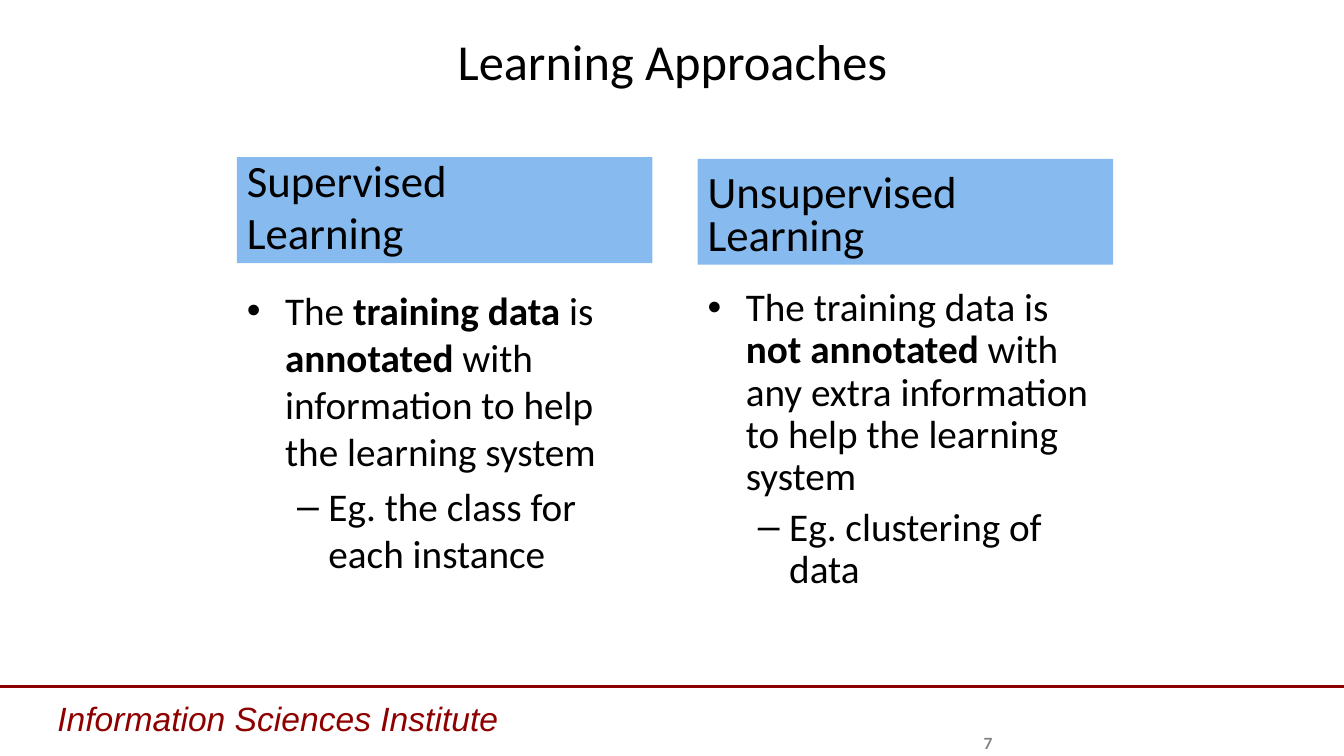
from dataclasses import dataclass

import lxml.etree
import pptx
import pptx.dml.color
import pptx.enum.shapes
import pptx.enum.text
import pptx.oxml.ns
import pptx.util

ALIGN = pptx.enum.text.PP_ALIGN
ANCHOR = pptx.enum.text.MSO_ANCHOR
WIDTH = pptx.util.Inches(13.33)
HEIGHT = pptx.util.Inches(7.5)


@dataclass(frozen=True)
class Theme:
    ink: str = "000000"
    accent: str = "8E0000"
    band: str = "87BBEF"
    muted: str = "7F7F7F"
    font: str = "Calibri"
    footer_font: str = "Arial"
    number_font: str = "Lato"
    title_size: float = 36
    heading_size: float = 32
    body_size: float = 28
    footer_size: float = 24
    number_size: float = 11
    rule_width: float = 2.25


THEME = Theme()


@dataclass(frozen=True)
class Box:
    left: float
    top: float
    width: float
    height: float


@dataclass(frozen=True)
class Style:
    size: float
    font: str = THEME.font
    color: str = THEME.ink
    bold: bool = False
    italic: bool = False


@dataclass(frozen=True)
class Run:
    text: str
    bold: bool = False


@dataclass(frozen=True)
class Bullet:
    mark: str
    margin: float
    hang: float


@dataclass(frozen=True)
class Para:
    runs: tuple[Run, ...]
    bullet: Bullet | None = None
    level: int = 0
    before: float = 0


@dataclass(frozen=True)
class Approach:
    heading: tuple[str, ...]
    definition: tuple[Run, ...]
    example: str
    body_spacing: float


DOT = Bullet("•", 0.38, 0.38)
DASH = Bullet("–", 0.81, 0.31)

TITLE = Box(16.28, 2.53, 67.52, 10.8)
FOOTER = Box(3.53, 91.6, 49.29, 6.8)
NUMBER = Box(71.34, 95.6, 4.35, 5.33)
RULE_TOP = 90.8
FIRST_COLUMN = 17.63
COLUMN_STEP = 34.28
COLUMN_WIDTH = 30.91
COLUMN_DROP = 0.2
HEADING_TOP = 20.8
HEADING_HEIGHT = 14
BODY_TOP = 37.2
BODY_HEIGHT = 42.13

APPROACHES = (
    Approach(
        ("Supervised", "Learning"),
        (
            Run("The "),
            Run("training data ", True),
            Run("is "),
            Run("annotated", True),
            Run(" with information to help the learning system"),
        ),
        "Eg. the class for each instance",
        1.0,
    ),
    Approach(
        ("Unsupervised Learning",),
        (
            Run("The training data is "),
            Run("not annotated ", True),
            Run("with any extra information to help the learning system"),
        ),
        "Eg. clustering of data",
        0.9,
    ),
)


def across(share: float) -> int:
    return round(WIDTH * share / 100)


def down(share: float) -> int:
    return round(HEIGHT * share / 100)


def rgb(color: str) -> pptx.dml.color.RGBColor:
    return pptx.dml.color.RGBColor.from_string(color)


def add_bullet(p, bullet: Bullet) -> None:
    qn = pptx.oxml.ns.qn
    pPr = p._p.get_or_add_pPr()
    pPr.set("marL", str(pptx.util.Inches(bullet.margin)))
    pPr.set("indent", str(-pptx.util.Inches(bullet.hang)))
    clr = lxml.etree.SubElement(pPr, qn("a:buClr"))
    lxml.etree.SubElement(clr, qn("a:srgbClr"), val=THEME.ink)
    lxml.etree.SubElement(pPr, qn("a:buFont"), typeface="Arial")
    lxml.etree.SubElement(pPr, qn("a:buChar"), char=bullet.mark)


def add_text(s, box: Box, paras: tuple[Para, ...], style: Style,
             align=ALIGN.LEFT, anchor=ANCHOR.TOP, spacing: float = 1.0,
             fill: str | None = None) -> None:
    place = across(box.left), down(box.top), across(box.width), down(box.height)
    if fill is None:
        sp = s.shapes.add_textbox(*place)
    else:
        sp = s.shapes.add_shape(pptx.enum.shapes.MSO_SHAPE.RECTANGLE, *place)
        sp.shadow.inherit = False
        sp.fill.solid()
        sp.fill.fore_color.rgb = rgb(fill)
        sp.line.fill.background()
    tf = sp.text_frame
    tf.word_wrap = True
    tf.vertical_anchor = anchor
    for i, para in enumerate(paras):
        p = tf.add_paragraph() if i else tf.paragraphs[0]
        if para.bullet:
            add_bullet(p, para.bullet)
        p.level = para.level
        p.alignment = align
        p.line_spacing = spacing
        p.space_before = pptx.util.Pt(para.before)
        for run in para.runs:
            r = p.add_run()
            r.text = run.text
            r.font.name = style.font
            r.font.size = pptx.util.Pt(style.size)
            r.font.color.rgb = rgb(style.color)
            r.font.bold = style.bold or run.bold
            r.font.italic = style.italic


def add_rule(s) -> None:
    line = s.shapes.add_connector(pptx.enum.shapes.MSO_CONNECTOR.STRAIGHT,
                                  0, down(RULE_TOP), WIDTH, down(RULE_TOP))
    line.line.color.rgb = rgb(THEME.accent)
    line.line.width = pptx.util.Pt(THEME.rule_width)
    lxml.etree.SubElement(line._element.spPr, pptx.oxml.ns.qn("a:effectLst"))


def add_approach(s, column: int, approach: Approach) -> None:
    left = FIRST_COLUMN + column * COLUMN_STEP
    drop = column * COLUMN_DROP
    heading = tuple(Para((Run(text),), before=6.4 if i else 0)
                    for i, text in enumerate(approach.heading))
    add_text(s, Box(left, HEADING_TOP + drop, COLUMN_WIDTH, HEADING_HEIGHT), heading,
             Style(THEME.heading_size), anchor=ANCHOR.BOTTOM, spacing=0.8, fill=THEME.band)
    body = (Para(approach.definition, DOT),
            Para((Run(approach.example),), DASH, level=1, before=5.6))
    add_text(s, Box(left, BODY_TOP + drop, COLUMN_WIDTH, BODY_HEIGHT), body,
             Style(THEME.body_size), spacing=approach.body_spacing)


def main() -> None:
    prs = pptx.Presentation()
    prs.slide_width, prs.slide_height = WIDTH, HEIGHT
    s = prs.slides.add_slide(prs.slide_layouts[6])
    add_rule(s)
    add_text(s, FOOTER, (Para((Run("Information Sciences Institute"),)),),
             Style(THEME.footer_size, THEME.footer_font, THEME.accent, italic=True))
    add_text(s, TITLE, (Para((Run("Learning Approaches"),)),),
             Style(THEME.title_size), ALIGN.CENTER, ANCHOR.MIDDLE)
    for column, approach in enumerate(APPROACHES):
        add_approach(s, column, approach)
    add_text(s, NUMBER, (Para((Run("7"),)),),
             Style(THEME.number_size, THEME.number_font, THEME.muted, bold=True),
             ALIGN.CENTER, ANCHOR.MIDDLE)
    prs.save("out.pptx")


if __name__ == "__main__":
    main()
